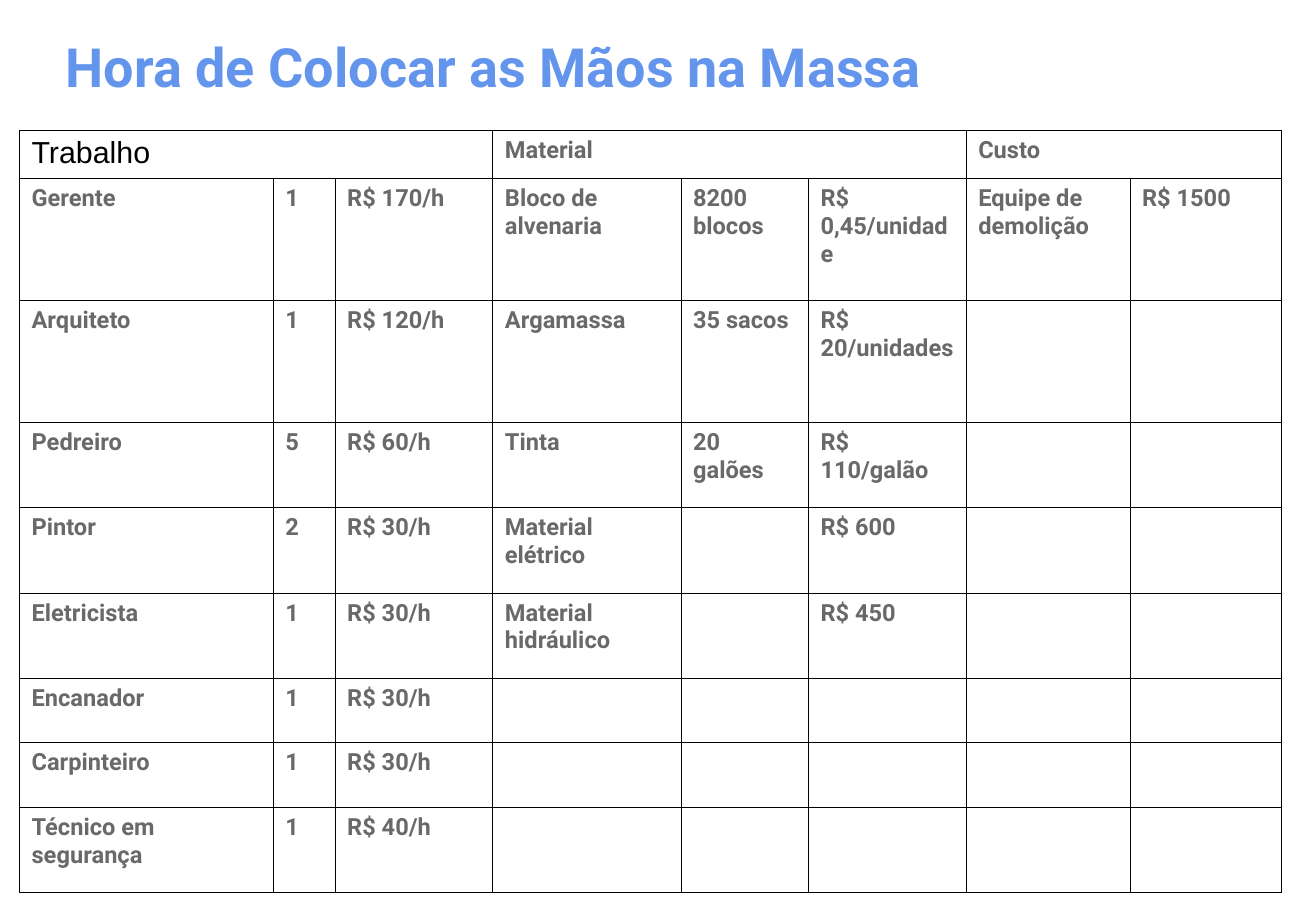
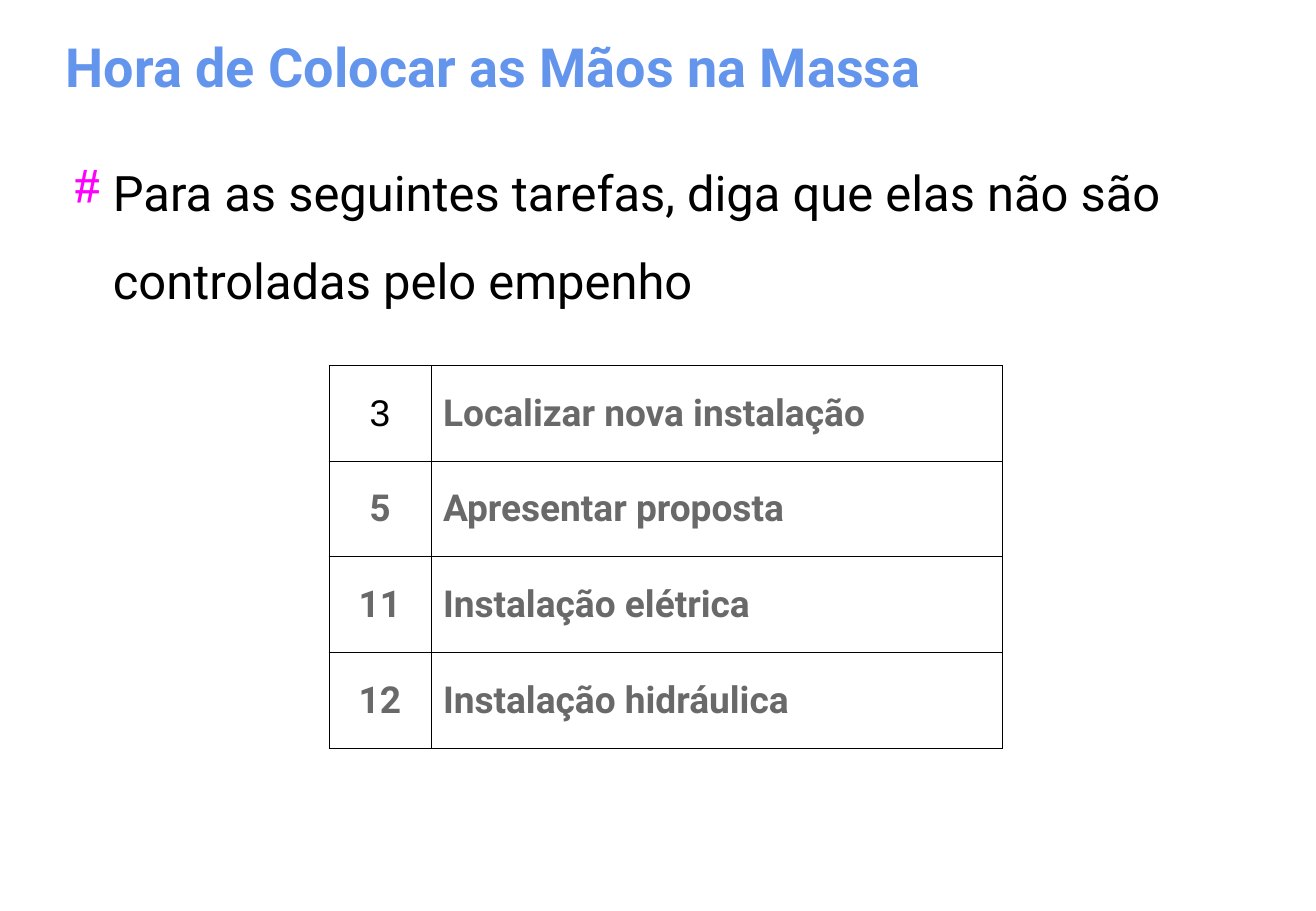
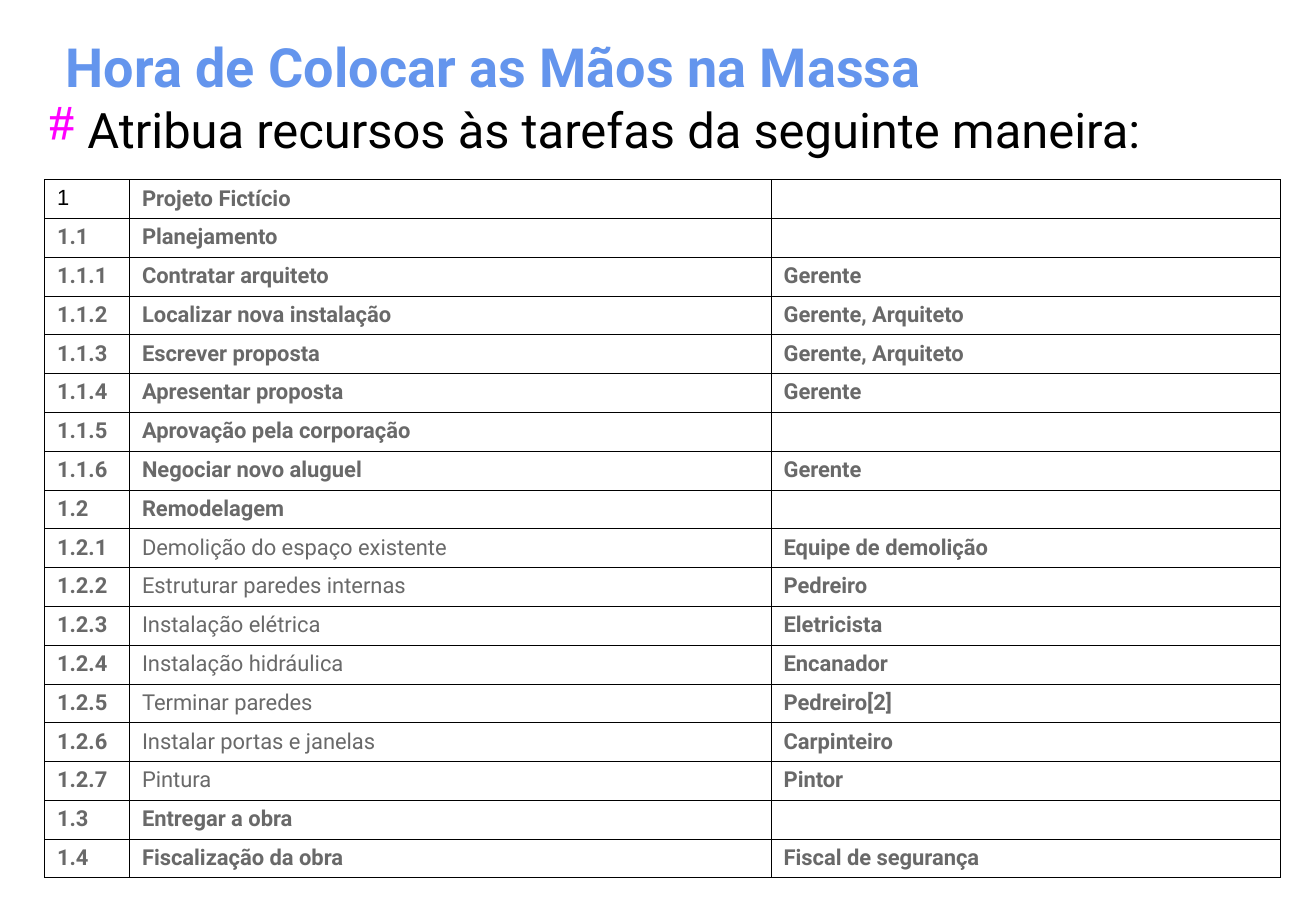
"""Build three slides on assigning resources to the tasks of a building project."""

from lxml.etree import SubElement
from pptx import Presentation
from pptx.dml.color import RGBColor
from pptx.enum.text import MSO_ANCHOR as Anchor, PP_ALIGN as Align
from pptx.oxml.ns import qn
from pptx.util import Inches, Pt

WIDTH, HEIGHT = Inches(10.84), Inches(7.5)
TITLE_BLUE = RGBColor(0x64, 0x95, 0xED)
TEXT_GRAY = RGBColor(0x69, 0x69, 0x69)
BLACK = RGBColor(0x00, 0x00, 0x00)
WHITE = RGBColor(0xFF, 0xFF, 0xFF)
BULLET_PINK = RGBColor(0xFF, 0x00, 0xFF)
MAIN_FONT, PLAIN_FONT = "Roboto", "Arial"
TITLE = "Hora de Colocar as Mãos na Massa"

COSTS = [
    ("Trabalho", "", "", "Material", "", "", "Custo", ""),
    ("Gerente", "1", "R$ 170/h", "Bloco de alvenaria", "8200 blocos",
     "R$ 0,45/unidade", "Equipe de demolição", "R$ 1500"),
    ("Arquiteto", "1", "R$ 120/h", "Argamassa", "35 sacos", "R$ 20/unidades"),
    ("Pedreiro", "5", "R$ 60/h", "Tinta", "20 galões", "R$ 110/galão"),
    ("Pintor", "2", "R$ 30/h", "Material elétrico", "", "R$ 600"),
    ("Eletricista", "1", "R$ 30/h", "Material hidráulico", "", "R$ 450"),
    ("Encanador", "1", "R$ 30/h"),
    ("Carpinteiro", "1", "R$ 30/h"),
    ("Técnico em segurança", "1", "R$ 40/h"),
]
FREE_TASKS = [
    ("3", "Localizar nova instalação"),
    ("5", "Apresentar proposta"),
    ("11", "Instalação elétrica"),
    ("12", "Instalação hidráulica"),
]
ASSIGNMENTS = [
    ("1", "Projeto Fictício"),
    ("1.1", "Planejamento"),
    ("1.1.1", "Contratar arquiteto", "Gerente"),
    ("1.1.2", "Localizar nova instalação", "Gerente, Arquiteto"),
    ("1.1.3", "Escrever proposta", "Gerente, Arquiteto"),
    ("1.1.4", "Apresentar proposta", "Gerente"),
    ("1.1.5", "Aprovação pela corporação"),
    ("1.1.6", "Negociar novo aluguel", "Gerente"),
    ("1.2", "Remodelagem"),
    ("1.2.1", "Demolição do espaço existente", "Equipe de demolição"),
    ("1.2.2", "Estruturar paredes internas", "Pedreiro"),
    ("1.2.3", "Instalação elétrica", "Eletricista"),
    ("1.2.4", "Instalação hidráulica", "Encanador"),
    ("1.2.5", "Terminar paredes", "Pedreiro[2]"),
    ("1.2.6", "Instalar portas e janelas", "Carpinteiro"),
    ("1.2.7", "Pintura", "Pintor"),
    ("1.3", "Entregar a obra"),
    ("1.4", "Fiscalização da obra", "Fiscal de segurança"),
]


def place(left, top, width, height):
    """Turn percentages of the slide into lengths."""
    return [round(size * share / 100) for size, share in
            ((WIDTH, left), (HEIGHT, top), (WIDTH, width), (HEIGHT, height))]


def set_font(paragraph, size, color, name=MAIN_FONT, bold=False):
    """Style the whole paragraph."""
    font = paragraph.font
    font.size, font.name, font.bold = Pt(size), name, bold
    font.color.rgb = color


def add_text(slide, box, text, anchor=Anchor.TOP):
    """Add a wrapping text box without margins and return its paragraph."""
    frame = slide.shapes.add_textbox(*place(*box)).text_frame
    frame.word_wrap = True
    frame.vertical_anchor = anchor
    frame.margin_left = frame.margin_right = frame.margin_top = frame.margin_bottom = 0
    paragraph = frame.paragraphs[0]
    paragraph.text = text
    return paragraph


def add_titled_slide(presentation):
    """Add a blank slide with the shared title."""
    slide = presentation.slides.add_slide(presentation.slide_layouts[6])
    paragraph = add_text(slide, (4.98, 3.73, 89.94, 7.07), TITLE, Anchor.MIDDLE)
    set_font(paragraph, 32, TITLE_BLUE, bold=True)
    return slide


def add_bullet(slide, box, text):
    """Add a paragraph with a hash sign as its bullet."""
    paragraph = add_text(slide, box, text)
    properties = paragraph._p.get_or_add_pPr()
    properties.set("marL", str(Inches(0.39)))
    properties.set("indent", str(Inches(-0.31)))
    color = SubElement(properties, qn("a:buClr"))
    SubElement(color, qn("a:srgbClr"), val=str(BULLET_PINK))
    SubElement(properties, qn("a:buSzPct"), val="90000")
    SubElement(properties, qn("a:buChar"), char="#")
    paragraph.line_spacing = 1.5
    set_font(paragraph, 29, BLACK)


def add_borders(cell):
    """Draw a thin black line on each side of a cell."""
    properties = cell._tc.get_or_add_tcPr()
    for side in ("lnL", "lnR", "lnT", "lnB"):
        line = SubElement(properties, qn(f"a:{side}"), w=str(Pt(0.57)))
        fill = SubElement(line, qn("a:solidFill"))
        SubElement(fill, qn("a:srgbClr"), val=str(BLACK))


def fill_cell(cell, text, size, anchor):
    """Frame a cell, write its text and return the paragraph."""
    add_borders(cell)
    cell.fill.solid()
    cell.fill.fore_color.rgb = WHITE
    cell.vertical_anchor = anchor
    paragraph = cell.text_frame.paragraphs[0]
    if text:
        paragraph.text = text
    else:
        SubElement(paragraph._p, qn("a:endParaRPr"), sz=str(size * 100))
    set_font(paragraph, size, TEXT_GRAY, bold=True)
    return paragraph


def share_out(total, weights):
    """Divide a length in proportion to the weights."""
    return [round(total * weight / sum(weights)) for weight in weights]


def add_grid(slide, box, data, columns, rows, size, first_size=None, anchor=Anchor.TOP):
    """Add a bordered table whose first cell is plain black text."""
    left, top, width, height = place(*box)
    table = slide.shapes.add_table(len(rows), len(columns), left, top, width, height).table
    table.first_row = table.horz_banding = False
    for column, length in zip(table.columns, share_out(width, columns)):
        column.width = length
    for row, length in zip(table.rows, share_out(height, rows)):
        row.height = length
    for row, texts in zip(table.rows, data):
        padded = texts + ("",) * (len(columns) - len(texts))
        for cell, text in zip(row.cells, padded):
            fill_cell(cell, text, size, anchor)
    first = table.cell(0, 0).text_frame.paragraphs[0]
    set_font(first, first_size or size, BLACK, PLAIN_FONT)
    return table


def add_cost_slide(presentation):
    """Add the slide with work, material and costs."""
    slide = add_titled_slide(presentation)
    columns = (2.09, 0.51, 1.3, 1.55, 1.05, 1.3, 1.35, 1.25)
    rows = (0.4, 1, 1, 0.7, 0.7, 0.7, 0.53, 0.53, 0.7)
    table = add_grid(slide, (1.48, 14.27, 95.94, 83.73), COSTS, columns, rows, 14, 18)
    for start, end in ((0, 2), (3, 5), (6, 7)):
        table.cell(0, start).merge(table.cell(0, end))


def add_free_task_slide(presentation):
    """Add the slide with the tasks that effort does not control."""
    slide = add_titled_slide(presentation)
    add_bullet(slide, (4.98, 14.67, 89.94, 75.6),
               "Para as seguintes tarefas, diga que elas não são controladas pelo empenho")
    table = add_grid(slide, (25, 40.13, 51.2, 42), FREE_TASKS, (0.84, 4.71),
                     [1] * len(FREE_TASKS), 22, anchor=Anchor.MIDDLE)
    for row in table.rows:
        row.cells[0].text_frame.paragraphs[0].alignment = Align.CENTER


def add_assignment_slide(presentation):
    """Add the slide that gives each task its resources."""
    slide = add_titled_slide(presentation)
    add_bullet(slide, (3.04, 7.73, 89.94, 12.13),
               "Atribua recursos às tarefas da seguinte maneira:")
    table = add_grid(slide, (3.41, 19.73, 93.91, 76.67), ASSIGNMENTS, (0.7, 5.28, 4.19),
                     [1] * len(ASSIGNMENTS), 13)
    for row, texts in zip(table.rows, ASSIGNMENTS):
        if texts[0].startswith("1.2."):
            row.cells[1].text_frame.paragraphs[0].font.bold = False


def main():
    """Build and save the presentation."""
    presentation = Presentation()
    presentation.slide_width, presentation.slide_height = WIDTH, HEIGHT
    add_cost_slide(presentation)
    add_free_task_slide(presentation)
    add_assignment_slide(presentation)
    presentation.save("out.pptx")


if __name__ == "__main__":
    main()
